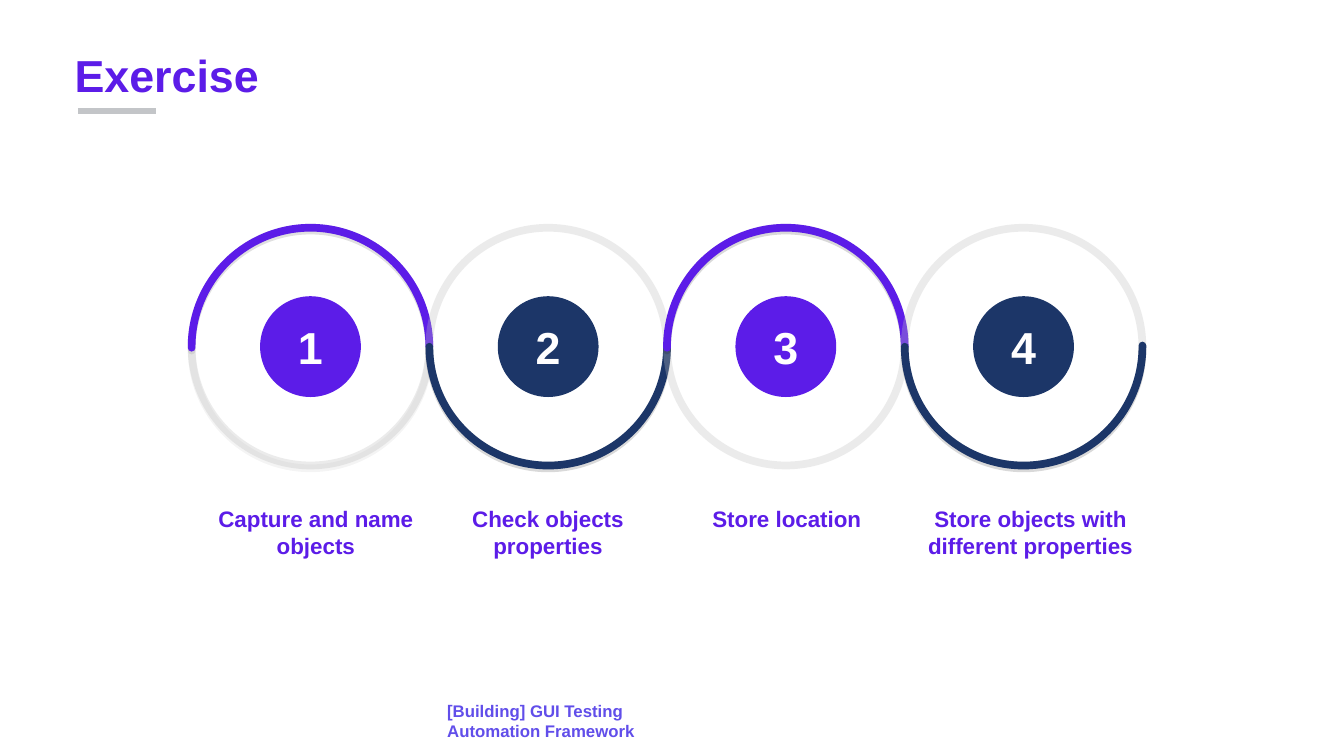
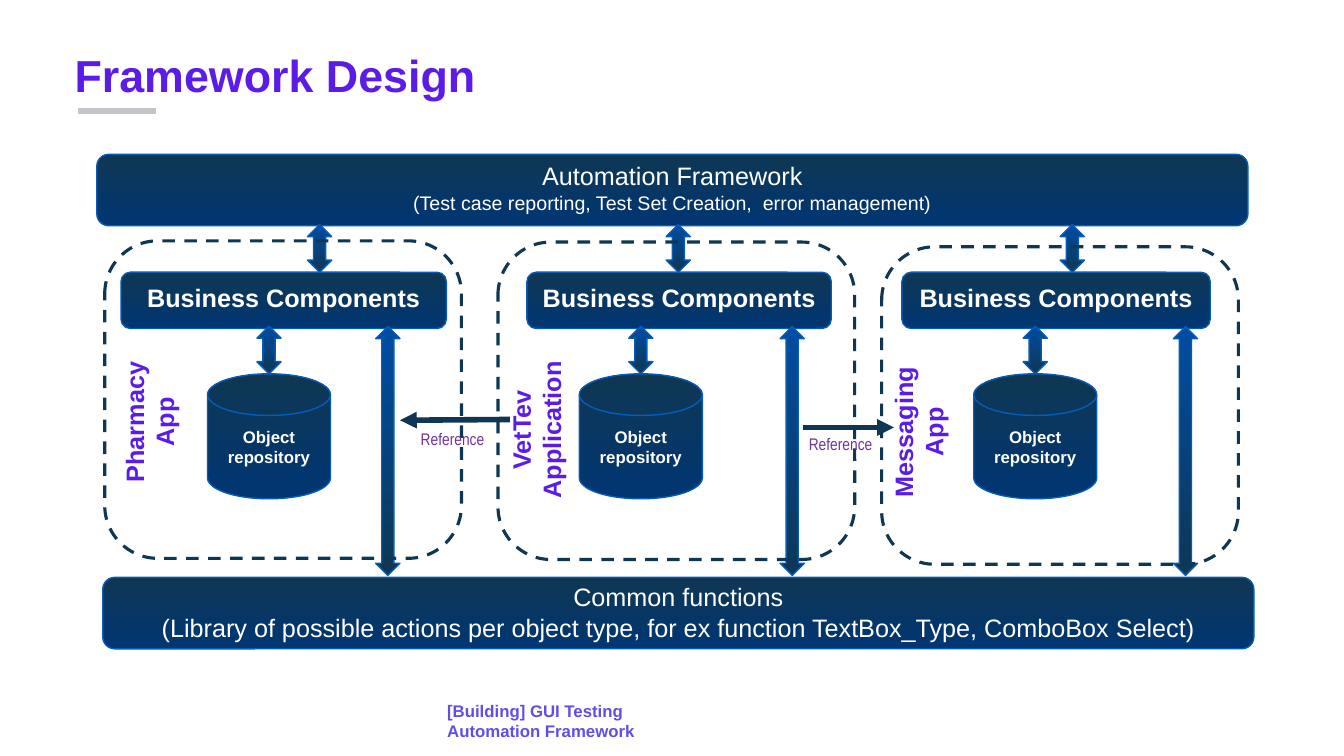
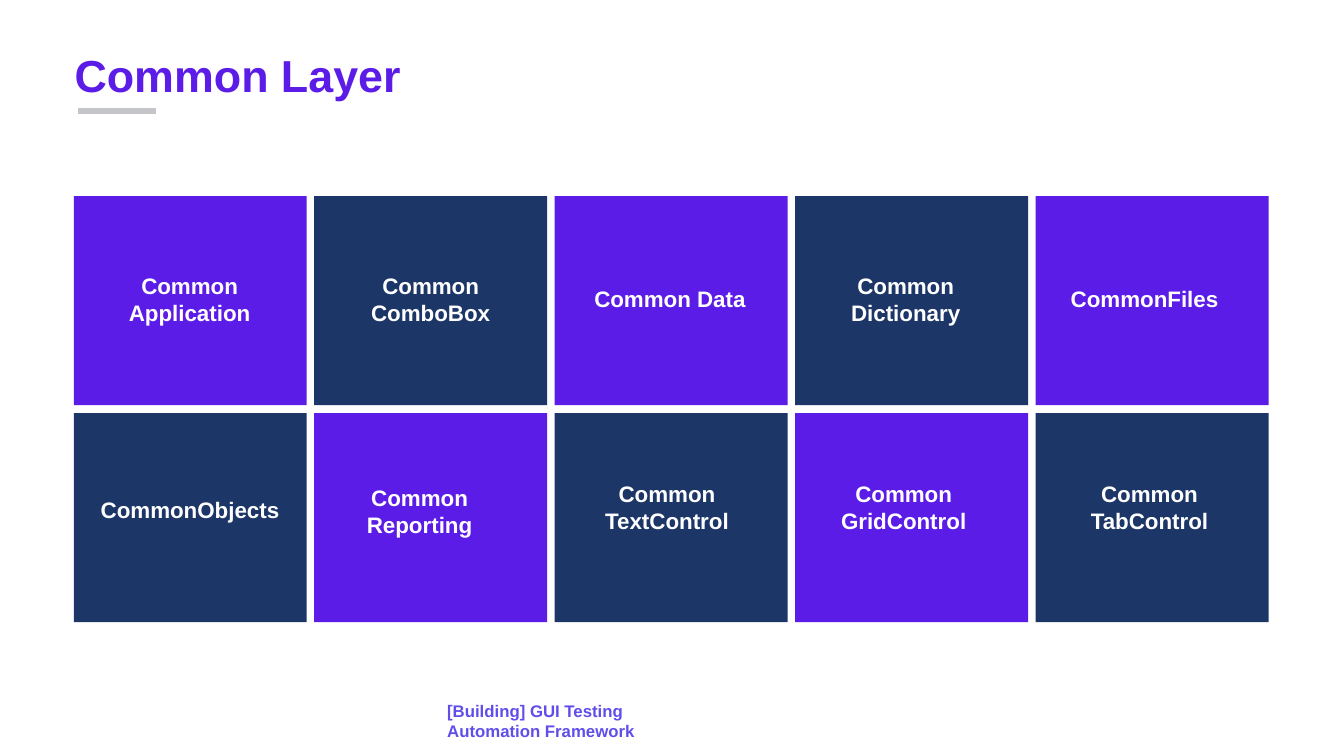
import lxml.etree
import pptx
import pptx.dml.color
import pptx.enum.shapes
import pptx.enum.text
import pptx.oxml.ns
import pptx.util

Cm = pptx.util.Cm
Pt = pptx.util.Pt
qn = pptx.oxml.ns.qn
SHAPES = pptx.enum.shapes.MSO_SHAPE
ANCHOR = pptx.enum.text.MSO_ANCHOR
ALIGN = pptx.enum.text.PP_ALIGN

# Shared style
COLORS = {
    "purple": "5C1CE8", "navy": "1C3668", "white": "FFFFFF",
    "footer": "614EEA", "rule": "C3C5C8", "ring": "BFBFBF", "shadow": "000000",
    "dark": "0F3754", "deep": "003672", "bright": "004DA2",
    "outline": "065CBA", "reference": "7030A0",
}
FONT = "Arial"
FOOTER = "[Building] GUI Testing Automation Framework"

# Exercise: step label and its left edge
STEPS = [
    ("Capture and name objects", 5.05),
    ("Check objects properties", 10.9),
    ("Store location", 16.92),
    ("Store objects with different properties", 23.06),
]
RING_LEFT, RING_TOP, RING_SIZE, DISC_SIZE = 4.83, 5.74, 5.99, 2.54

# Framework Design: bars as (left, top, text inset, lines with sizes)
BARS = [
    (2.44, 3.89, 0.07, [
        ("Automation Framework", 18),
        ("(Test case reporting, Test Set Creation,  error management)", 14)]),
    (2.59, 14.55, 0.02, [
        ("Common functions", 18),
        ("(Library of possible actions per object type, for ex function "
         "TextBox_Type, ComboBox Select)", 18)]),
]
APPS = [
    {"name": "Pharmacy App", "label": (2.87, 8.64), "frame": (2.64, 6.07),
     "components": (3.05, 8.2), "top_arrow": 7.75, "disk": 5.23, "long_arrow": 9.47},
    {"name": "VetTev Application", "label": (12.62, 8.84), "frame": (12.55, 6.1),
     "components": (13.28, 7.67), "top_arrow": 16.79, "disk": 14.6, "long_arrow": 19.66},
    {"name": "Messaging App", "label": (22.25, 8.89), "frame": (22.22, 6.22),
     "components": (22.73, 7.77), "top_arrow": 26.72, "disk": 24.54, "long_arrow": 29.57},
]
# Arrow start, arrow end, left and top of its label
REFERENCES = [
    ((12.85, 10.57), (10.08, 10.59), (10.11, 10.69)),
    ((20.24, 10.77), (22.53, 10.77), (19.89, 10.8)),
]
ARROW_WIDTH, DISK_WIDTH = 0.61, 3.1

# Common Layer: tile label with its left, top and width
TILES = [
    [("Common Application", 2.39, 6.73, 4.78),
     ("Common ComboBox", 8.38, 6.73, 4.95),
     ("Common Data", 14.55, 7.06, 4.67),
     ("Common Dictionary", 20.17, 6.74, 5.31),
     ("CommonFiles", 26.19, 7.06, 5.31)],
    [("CommonObjects", 2.16, 12.37, 5.26),
     ("Common Reporting", 8.1, 12.07, 4.95),
     ("Common TextControl", 14.27, 11.97, 5.08),
     ("Common GridControl", 20.12, 11.97, 5.31),
     ("Common TabControl", 26.19, 11.97, 5.56)],
]
TILE_LEFT, TILE_TOP, TILE_WIDTH, TILE_HEIGHT = 1.86, 4.94, 5.87, 5.27
TILE_STEP_X, TILE_STEP_Y = 6.06, 5.47


def rgb(color):
    return pptx.dml.color.RGBColor.from_string(COLORS[color])


def write(shape, lines, color, bold=True, align=ALIGN.CENTER, font=FONT):
    """Fill a shape with (text, size) lines."""
    frame = shape.text_frame
    frame.word_wrap = True
    frame.text = "\n".join(text for text, size in lines)
    for paragraph, (text, size) in zip(frame.paragraphs, lines):
        paragraph.alignment = align
        for run in paragraph.runs:
            run.font.name = font
            run.font.size = Pt(size)
            run.font.bold = bold
            run.font.color.rgb = rgb(color)


def add_text(slide, text, left, top, width, height, size, color, **style):
    box = slide.shapes.add_textbox(Cm(left), Cm(top), Cm(width), Cm(height))
    write(box, [(text, size)], color, **style)
    return box


def add_shape(slide, kind, left, top, width, height, fill=None, line=None, weight=1):
    """Add a shape; a fill pair is a gradient from bottom to top."""
    shape = slide.shapes.add_shape(kind, Cm(left), Cm(top), Cm(width), Cm(height))
    shape.shadow.inherit = False
    if fill is None:
        shape.fill.background()
    elif isinstance(fill, tuple):
        shape.fill.gradient()
        shape.fill.gradient_angle = 90
        for stop, color in zip(shape.fill.gradient_stops, fill):
            stop.color.rgb = rgb(color)
    else:
        shape.fill.solid()
        shape.fill.fore_color.rgb = rgb(fill)
    if line is None:
        shape.line.fill.background()
    else:
        shape.line.color.rgb = rgb(line)
        shape.line.width = Pt(weight)
    return shape


def add_line(slide, start, end, color, weight, arrow=False):
    line = slide.shapes.add_connector(
        pptx.enum.shapes.MSO_CONNECTOR.STRAIGHT, *map(Cm, start + end))
    line.line.color.rgb = rgb(color)
    line.line.width = Pt(weight)
    properties = line.element.spPr
    if arrow:
        lxml.etree.SubElement(properties.find(qn("a:ln")), qn("a:tailEnd"), type="triangle")
    lxml.etree.SubElement(properties, qn("a:effectLst"))


def set_alpha(color_element, percent):
    lxml.etree.SubElement(color_element, qn("a:alpha"), val=str(percent * 1000))


def drop_shadow(shape, percent):
    effects = shape.element.spPr.find(qn("a:effectLst"))
    shadow = lxml.etree.SubElement(
        effects, qn("a:outerShdw"), blurRad="0", dist=str(Pt(2)), dir="5400000",
        algn="ctr", rotWithShape="0")
    color = lxml.etree.SubElement(shadow, qn("a:srgbClr"), val=COLORS["shadow"])
    set_alpha(color, percent)


def new_slide(presentation, title):
    slide = presentation.slides.add_slide(presentation.slide_layouts[6])
    add_text(slide, FOOTER, 11.02, 17.53, 5.44, 1.27, 12, "footer", align=ALIGN.LEFT)
    add_text(slide, title, 1.63, 1.09, 20.85, 1.63, 32, "purple", align=ALIGN.LEFT)
    add_line(slide, (1.96, 2.79), (3.94, 2.79), "rule", 4.5)
    return slide


def build_exercise(presentation):
    slide = new_slide(presentation, "Exercise")
    # Rings, each with a coloured half
    for index in range(len(STEPS)):
        place = (RING_LEFT + index * RING_SIZE, RING_TOP, RING_SIZE, RING_SIZE)
        ring = add_shape(slide, SHAPES.OVAL, *place, line="ring", weight=5.5)
        set_alpha(ring.element.spPr.find(qn("a:ln")).find(".//" + qn("a:srgbClr")), 30)
        if index == 0:
            drop_shadow(ring, 15)
        half = add_shape(slide, SHAPES.ARC, *place,
                         line=("purple", "navy")[index % 2], weight=5.5)
        half.adjustments[0] = 107.66
        half.adjustments[1] = 0
        half.rotation = 180 * (index % 2)
        half.element.spPr.find(qn("a:ln")).set("cap", "rnd")
        drop_shadow(half, 15 if index else 8)
    # Numbered discs and labels
    inset = (RING_SIZE - DISC_SIZE) / 2
    for index, (text, label_left) in enumerate(STEPS):
        disc = add_shape(slide, SHAPES.OVAL, RING_LEFT + index * RING_SIZE + inset,
                         RING_TOP + inset, DISC_SIZE, DISC_SIZE,
                         fill=("purple", "navy")[index % 2])
        write(disc, [(str(index + 1), 32)], "white")
        add_text(slide, text, label_left, 12.6, 5.82, 1.63, 16, "purple")


def add_panel(slide, left, top, width, height, inset, lines, bold):
    panel = add_shape(slide, SHAPES.ROUNDED_RECTANGLE, left, top, width, height,
                      fill=("deep", "dark"), line="outline")
    write(panel, lines, "white", bold=bold)
    panel.text_frame.vertical_anchor = ANCHOR.TOP
    panel.text_frame.margin_top = Cm(inset)
    panel.text_frame.margin_bottom = 0


def add_double_arrow(slide, left, top, height):
    add_shape(slide, SHAPES.UP_DOWN_ARROW, left, top, ARROW_WIDTH, height,
              fill=("dark", "bright"), line="outline")


def build_framework(presentation):
    slide = new_slide(presentation, "Framework Design")
    for left, top, inset, lines in BARS:
        add_panel(slide, left, top, 29.01, 1.8, inset, lines, bold=False)
    for app in APPS:
        # Components, repository and the arrows between layers
        left, width = app["components"]
        add_double_arrow(slide, app["top_arrow"], 5.66, 1.2)
        add_panel(slide, left, 6.86, width, 1.42, 0.18,
                  [("Business Components", 18)], bold=True)
        disk = add_shape(slide, SHAPES.FLOWCHART_MAGNETIC_DISK, app["disk"], 9.42,
                         DISK_WIDTH, 3.15, fill=("deep", "dark"), line="outline")
        write(disk, [("Object repository", 12)], "white")
        add_double_arrow(slide, app["disk"] + (DISK_WIDTH - ARROW_WIDTH) / 2, 8.22, 1.2)
        add_double_arrow(slide, app["long_arrow"], 8.23, 6.27)
        # Dashed frame and upright name
        frame = add_shape(slide, SHAPES.ROUNDED_RECTANGLE, *app["frame"], 8.99, 8.0,
                          line="dark", weight=2.25)
        frame.line.dash_style = pptx.enum.dml.MSO_LINE.DASH
        name = add_text(slide, app["name"], *app["label"], 2.06, 3.99, 18, "purple")
        name.element.txBody.bodyPr.set("vert", "vert270")
    for start, end, label in REFERENCES:
        add_line(slide, start, end, "dark", 4, arrow=True)
        add_text(slide, "Reference", *label, 2.59, 0.76, 12, "reference",
                 bold=False, font="Arial Narrow")


def build_common_layer(presentation):
    slide = new_slide(presentation, "Common Layer")
    for row, tiles in enumerate(TILES):
        for column, (text, left, top, width) in enumerate(tiles):
            add_shape(slide, SHAPES.RECTANGLE, TILE_LEFT + column * TILE_STEP_X,
                      TILE_TOP + row * TILE_STEP_Y, TILE_WIDTH, TILE_HEIGHT,
                      fill=("purple", "navy")[(row + column) % 2])
            height = 1.63 if " " in text and text != "Common Data" else 0.94
            add_text(slide, text, left, top, width, height, 16, "white")


def main():
    presentation = pptx.Presentation()
    presentation.slide_width = Cm(33.87)
    presentation.slide_height = Cm(19.05)
    build_exercise(presentation)
    build_framework(presentation)
    build_common_layer(presentation)
    presentation.save("out.pptx")


if __name__ == "__main__":
    main()
